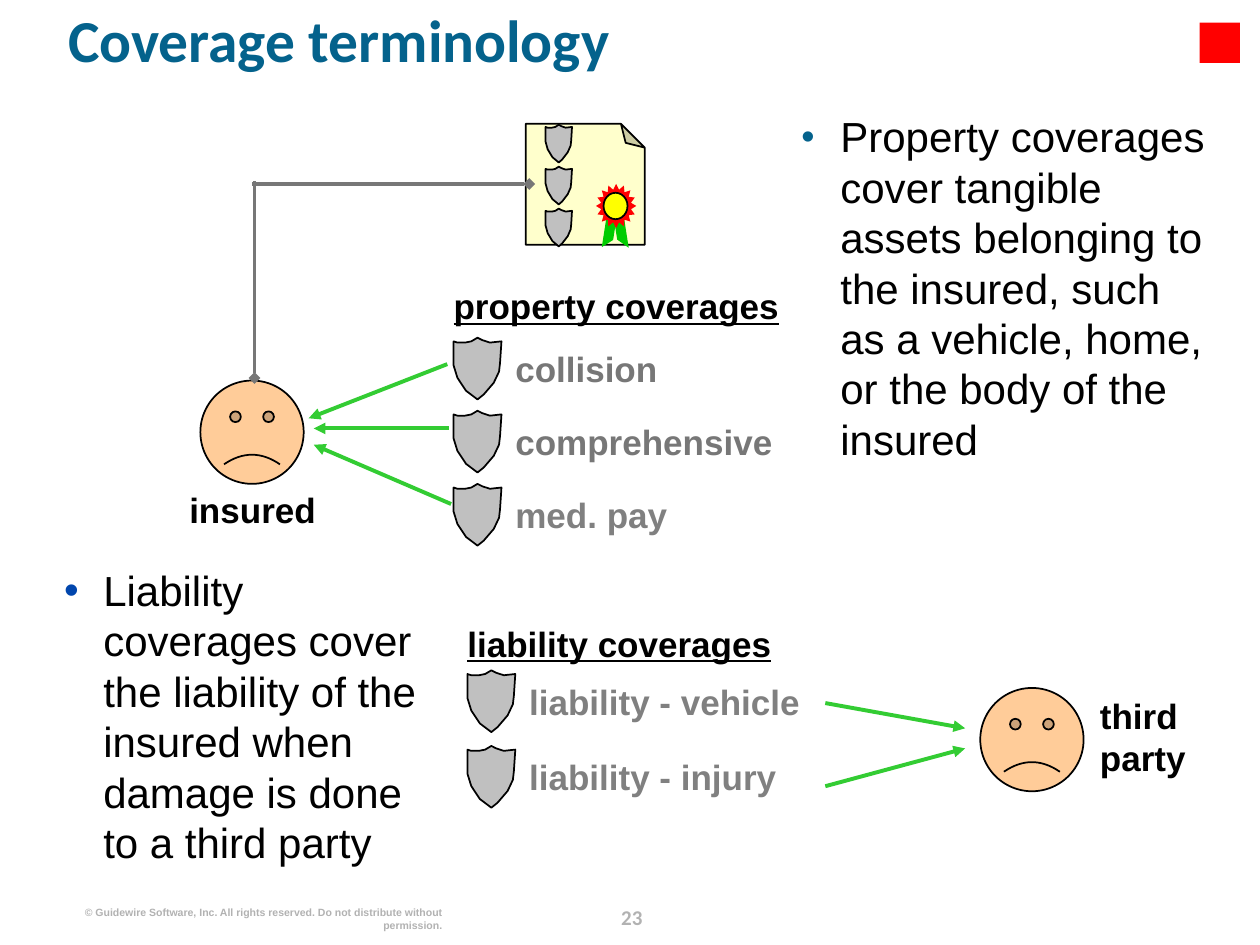
from pptx import Presentation
from pptx.dml.color import RGBColor
from pptx.enum.shapes import MSO_CONNECTOR, MSO_SHAPE as Preset
from pptx.enum.text import MSO_ANCHOR, MSO_AUTO_SIZE, PP_ALIGN as Align
from pptx.oxml.ns import qn
from pptx.util import Emu, Pt
from lxml.etree import SubElement

COLUMNS, ROWS, CELL = 100, 75, 91440
COLORS = {
    "title": "04628C", "bullet": "0146AD", "text": "000000",
    "footer": "B2B2B2", "label": "777777", "pale_label": "808080",
    "page": "FFFFCC", "shield": "C0C0C0", "ribbon": "00CC00", "seal": "FF0000",
    "seal_center": "FFFF00", "face": "FFCC99", "arrow": "33CC33",
}
SHIELD_OUTLINE = [
    (50, 100), (26, 86), (8, 65), (0, 45), (0, 22), (0, 6), (8, 8), (24, 8), (37, 6),
    (50, 0), (60, 4), (76, 8), (100, 6), (97, 41), (95, 55), (84, 73), (63, 92),
]


def grid(*cells):
    """Turn grid cells into lengths."""
    return [Emu(round(cell * CELL)) for cell in cells]


def color(name):
    """Return the named colour."""
    return RGBColor.from_string(COLORS[name])


def style_font(font, size, color_name, bold=False, name="Arial"):
    """Set the look of a font."""
    font.size, font.bold, font.name = Pt(size), bold, name
    font.color.rgb = color(color_name)


def prepare_frame(shape):
    """Give a shape a wrapping text frame without margins and return its first paragraph."""
    frame = shape.text_frame
    frame.margin_left = frame.margin_right = frame.margin_top = frame.margin_bottom = 0
    frame.word_wrap = True
    frame.auto_size = MSO_AUTO_SIZE.NONE
    frame.vertical_anchor = MSO_ANCHOR.TOP
    return frame.paragraphs[0]


def place(shape, box):
    """Move and size a shape to a box of grid cells."""
    shape.left, shape.top, shape.width, shape.height = grid(*box)


def add_label(slide, text, box, size=20, color_name="text", align=Align.LEFT, name="Arial"):
    """Add a bold text label."""
    paragraph = prepare_frame(slide.shapes.add_textbox(*grid(*box)))
    paragraph.text, paragraph.alignment = text, align
    style_font(paragraph.font, size, color_name, True, name)
    return paragraph


def fill_title(shape, text, box):
    """Fill the title placeholder."""
    place(shape, box)
    paragraph = prepare_frame(shape)
    paragraph.text, paragraph.alignment = text, Align.LEFT
    paragraph.line_spacing = 0.8
    style_font(paragraph.font, 34, "title", True, "Calibri")


def fill_bullet(shape, text, box, bullet_color, bullet_size):
    """Fill a body placeholder with one bulleted paragraph."""
    place(shape, box)
    paragraph = prepare_frame(shape)
    paragraph.text, paragraph.space_before = text, Pt(0)
    properties = paragraph._p.get_or_add_pPr()
    indent, = grid(3.1)
    properties.set("marL", str(indent))
    properties.set("indent", str(-indent))
    holder = SubElement(properties, qn("a:buClr"))
    SubElement(holder, qn("a:srgbClr"), val=COLORS[bullet_color])
    SubElement(properties, qn("a:buSzPct"), val=str(bullet_size * 1000))
    SubElement(properties, qn("a:buFont"), typeface="Arial")
    SubElement(properties, qn("a:buChar"), char="•")
    style_font(paragraph.font, 24, "text")


def paint(shape, fill, outlined):
    """Fill a shape and give it a thin black outline or none."""
    shape.shadow.inherit = False
    shape.fill.solid()
    shape.fill.fore_color.rgb = color(fill)
    if outlined:
        shape.line.color.rgb = color("text")
        shape.line.width = Pt(1)
    else:
        shape.line.fill.background()


def add_preset(slide, preset, box, fill, outlined=False, adjustment=None, rotation=0):
    """Add a painted preset shape."""
    shape = slide.shapes.add_shape(preset, *grid(*box))
    paint(shape, fill, outlined)
    shape.rotation = rotation
    if adjustment is not None:
        geometry = shape._element.spPr.find(qn("a:prstGeom"))
        geometry.rewrite_guides([("adj", round(adjustment * 100000))])
    return shape


def add_shield(slide, left, top, width=3.8, height=4.9):
    """Add a shield outline."""
    points = [grid(left + x * width / 100, top + y * height / 100) for x, y in SHIELD_OUTLINE]
    builder = slide.shapes.build_freeform(*points[0])
    builder.add_line_segments(points[1:], close=True)
    paint(builder.convert_to_shape(), "shield", True)


def add_line(slide, start, end, color_name, head):
    """Add a straight line with a head at its end."""
    line = slide.shapes.add_connector(MSO_CONNECTOR.STRAIGHT, *grid(*start, *end))
    line.line.color.rgb = color(color_name)
    line.line.width = Pt(2.25)
    SubElement(line.line._get_or_add_ln(), qn("a:tailEnd"), type=head)
    SubElement(line._element.spPr, qn("a:effectLst"))


def add_face(slide, left, top):
    """Add a sad face."""
    add_preset(slide, Preset.SMILEY_FACE, (left, top, 8.2, 8.2), "face", True, -0.05)


def add_policy(slide):
    """Add the policy page with its shields and seal."""
    add_preset(slide, Preset.FOLDED_CORNER, (41.65, 9.9, 9.6, 9.45), "page", True, 0.2, 270)
    for row in range(3):
        add_shield(slide, 43.3, 9.9 + row * 3.33, 2.1, 3)
    ribbon = add_preset(slide, Preset.PARALLELOGRAM, (46.8, 17.7, 3.2, 0.8), "ribbon", False, 0.88, 278.9)
    ribbon._element.spPr.xfrm.set("flipH", "1")
    add_preset(slide, Preset.PARALLELOGRAM, (47.6, 17.7, 3.3, 0.8), "ribbon", False, 0.98, 81.1)
    add_preset(slide, Preset.STAR_16_POINT, (47.3, 14.6, 3.2, 3.5), "seal", False, 0.375)
    add_preset(slide, Preset.OVAL, (47.9, 15.3, 1.9, 2.1), "seal_center", True)


def add_coverages(slide, heading, heading_top, left, top, pitch, items):
    """Add an underlined heading over a column of shields with names."""
    paragraph = add_label(slide, heading, (left, heading_top, 26.9, 3.3))
    paragraph.font.underline = True
    for row, (text, color_name) in enumerate(items):
        row_top = top + row * pitch
        add_shield(slide, left, row_top)
        add_label(slide, text, (left + 4.9, row_top + 0.8, 22.3, 3.3), color_name=color_name)


def main():
    """Build the slide."""
    presentation = Presentation()
    presentation.slide_width, presentation.slide_height = grid(COLUMNS, ROWS)
    slide = presentation.slides.add_slide(presentation.slide_layouts[3])
    title, property_body, liability_body = slide.placeholders

    number = add_label(slide, "23", (47.3, 71.3, 5.7, 2.5), 12, "footer", Align.CENTER, "Calibri")
    number.line_spacing = Pt(18)
    add_label(slide, "© Guidewire Software, Inc. All rights reserved. Do not distribute without permission.",
              (6.1, 71.9, 29, 1), 6, "footer", Align.RIGHT)

    fill_title(title, "Coverage terminology", (5.4, 1.3, 86.6, 6.8))
    fill_bullet(property_body, "Property coverages cover tangible assets belonging to the insured, "
                "such as a vehicle, home, or the body of the insured",
                (63.6, 8.8, 32.5, 29), "title", 90)
    fill_bullet(liability_body, "Liability coverages cover the liability of the insured "
                "when damage is done to a third party", (5.1, 44.8, 30, 24.5), "bullet", 100)

    add_policy(slide)
    add_face(slide, 15.9, 30.2)
    add_label(slide, "insured", (13.5, 38.8, 13.1, 3.3), align=Align.CENTER)
    add_face(slide, 77.8, 54.6)
    add_label(slide, "third\nparty", (87.3, 55.1, 8.4, 6.7))

    add_coverages(slide, "property coverages", 22.6, 36, 26.8, 5.8,
                  [("collision", "label"), ("comprehensive", "label"), ("med. pay", "pale_label")])
    add_coverages(slide, "liability coverages", 49.4, 37.1, 53.2, 6,
                  [("liability - vehicle", "pale_label"), ("liability - injury", "pale_label")])

    for start, end in [
        ((35.5, 28.9), (24.5, 33.2)), ((35.6, 34), (24.9, 34)), ((35.8, 40), (24.9, 35.3)),
        ((65.5, 55.8), (76.6, 57.8)), ((65.5, 62.4), (76.6, 59.4)),
    ]:
        add_line(slide, start, end, "arrow", "triangle")
    for start, end in [((20.2, 14.4), (20.2, 30)), ((20, 14.6), (42, 14.6))]:
        add_line(slide, start, end, "label", "diamond")

    add_preset(slide, Preset.RECTANGLE, (95.2, 1.8, 3.2, 3.2), "seal")
    presentation.save("out.pptx")


if __name__ == "__main__":
    main()
